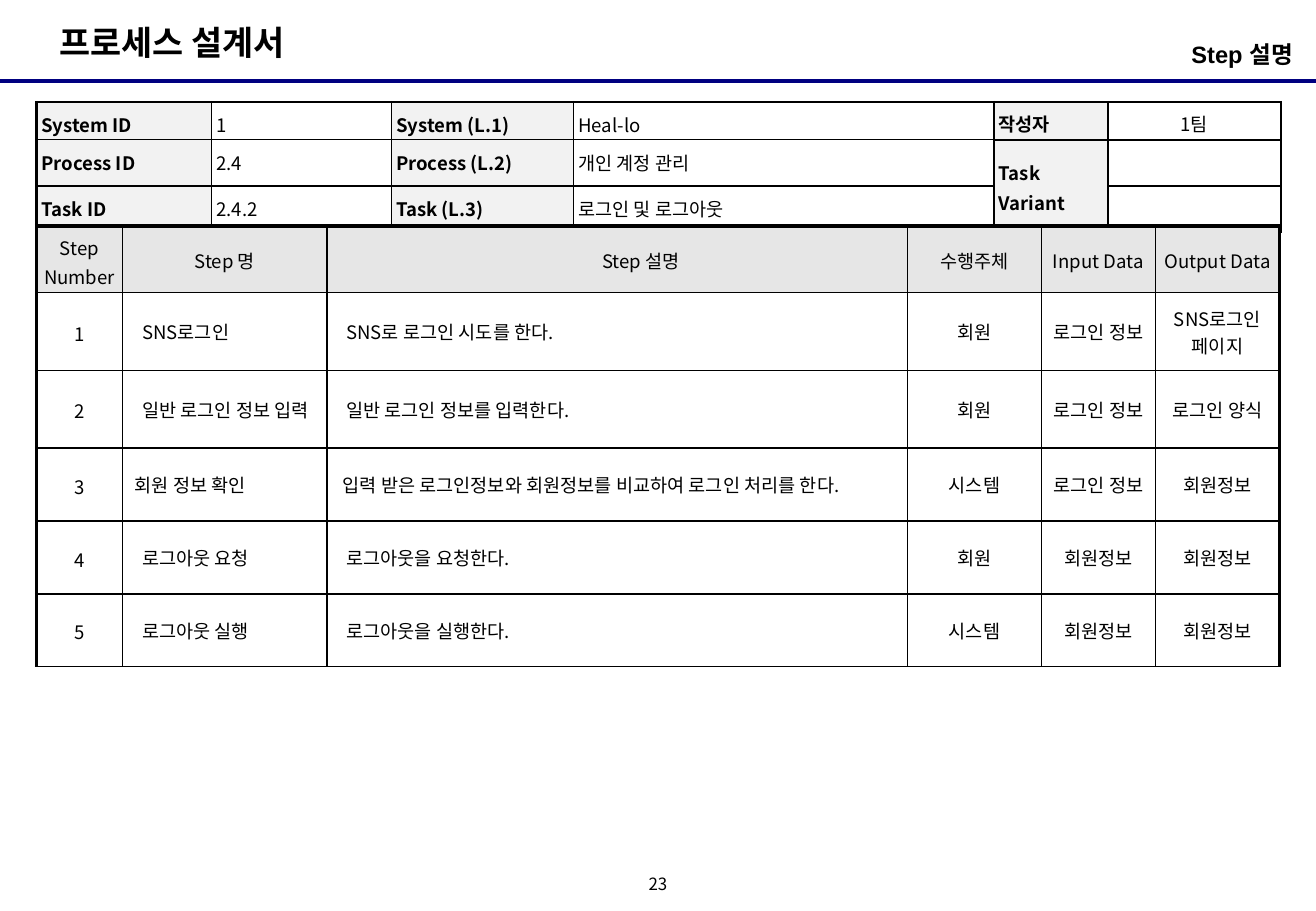
from lxml import etree
from pptx import Presentation
from pptx.dml.color import RGBColor
from pptx.enum import shapes, text
from pptx.oxml import ns
from pptx.util import Inches, Pt

KOREAN_FONT = "Noto Sans CJK KR"
LEFT, CENTER, RIGHT = text.PP_ALIGN.LEFT, text.PP_ALIGN.CENTER, text.PP_ALIGN.RIGHT
TOP, MIDDLE = text.MSO_ANCHOR.TOP, text.MSO_ANCHOR.MIDDLE


def write(holder, content, size=11, bold=False, font=KOREAN_FONT, align=LEFT,
          anchor=MIDDLE, margins=(0, 0, 0, 0), indent=0, spacing=1.0, after=0):
    """Fill a text frame or table cell; each line of content is a paragraph."""
    frame = getattr(holder, "text_frame", holder)
    frame.word_wrap = True
    holder.vertical_anchor = anchor
    (holder.margin_left, holder.margin_top,
     holder.margin_right, holder.margin_bottom) = map(Inches, margins)
    for number, line in enumerate(content.split("\n")):
        para = frame.add_paragraph() if number else frame.paragraphs[0]
        para.alignment = align
        para.line_spacing = spacing
        para.space_after = Pt(after)
        if indent:
            para._p.get_or_add_pPr().set("marL", str(Inches(indent)))
        span = para.add_run()
        span.text = line
        span.font.size = Pt(size)
        span.font.bold = bold
        span.font.name = font
        span.font.color.rgb = RGBColor.from_string("000000")
        east_asian = etree.SubElement(span._r.get_or_add_rPr(), ns.qn("a:ea"))
        east_asian.set("typeface", KOREAN_FONT)


def add_grid(page, top, widths, heights, fill_at, border_at):
    """Add a table; fill_at and border_at give the look of the cell at (row, column)."""
    frame = page.shapes.add_table(len(heights), len(widths), Inches(0.3), Inches(top),
                                  Inches(sum(widths)), Inches(sum(heights)))
    grid = frame.table
    grid.first_row = grid.horz_banding = False
    for column, width in zip(grid.columns, widths):
        column.width = Inches(width)
    for row, height in zip(grid.rows, heights):
        row.height = Inches(height)
    for r in range(len(heights)):
        for c in range(len(widths)):
            cell = grid.cell(r, c)
            props = cell._tc.get_or_add_tcPr()
            for side, points in zip("LRTB", border_at(r, c)):
                edge = etree.SubElement(props, ns.qn(f"a:ln{side}"), w=str(Pt(points)))
                solid = etree.SubElement(edge, ns.qn("a:solidFill"))
                etree.SubElement(solid, ns.qn("a:srgbClr"), val="000000")
            colour = fill_at(r, c)
            if colour:
                cell.fill.solid()
                cell.fill.fore_color.rgb = RGBColor.from_string(colour)
            else:
                cell.fill.background()
    return grid


deck = Presentation()
deck.slide_width, deck.slide_height = Inches(10.83), Inches(7.5)
page = deck.slides.add_slide(deck.slide_layouts[6])

# Heading, rule and page number
rule = page.shapes.add_connector(shapes.MSO_CONNECTOR.STRAIGHT,
                                 0, Inches(0.67), deck.slide_width, Inches(0.67))
rule.line.color.rgb = RGBColor.from_string("000080")
rule.line.width = Pt(2.25)
etree.SubElement(rule._element.spPr, ns.qn("a:effectLst"))

for place, content, look in [
    ((0.39, 0.13, 2.26, 0.44), "프로세스 설계서",
     dict(size=20, bold=True, anchor=TOP, margins=(0.1, 0.05, 0.1, 0.05))),
    ((7.39, 0.28, 3.31, 0.39), "Step 설명",
     dict(size=14, bold=True, font="Arial", align=RIGHT, anchor=TOP,
          margins=(0, 0.05, 0.06, 0.05))),
    ((5.25, 7.17, 0.33, 0.25), "23", dict(size=10, align=CENTER, spacing=0.8)),
]:
    box = page.shapes.add_textbox(*map(Inches, place))
    write(box.text_frame, content, **look)

# Task summary: labels in the even columns, values in the odd ones
summary = [
    ["System ID", "1", "System (L.1)", "Heal-lo", "작성자", "1팀"],
    ["Process ID", "2.4", "Process (L.2)", "개인 계정 관리", "Task Variant", ""],
    ["Task ID", "2.4.2", "Task (L.3)", "로그인 및 로그아웃", "", ""],
]


def summary_border(r, c):
    return (1.5 if c == 0 else 1, 1.5 if c == 5 else 1,
            1.5 if r == 0 or (r == 1 and c > 3) else 1,
            1.5 if r == 2 or (r == 0 and c > 3) or (r == 1 and c == 4) else 1)


summary_grid = add_grid(page, 0.84, [1.44, 1.48, 1.5, 3.46, 0.94, 1.42], [0.31] * 3,
                        lambda r, c: None if c % 2 else "F2F2F2", summary_border)
summary_grid.cell(1, 4).merge(summary_grid.cell(2, 4))
for r, row in enumerate(summary):
    for c, content in enumerate(row):
        if not summary_grid.cell(r, c).is_spanned:
            write(summary_grid.cell(r, c), content, bold=c % 2 == 0, spacing=1.1, after=1,
                  align=CENTER if c == 5 else LEFT, anchor=MIDDLE if c > 3 else TOP,
                  margins=(0.04, 0.04, 0.04, 0.04) if c > 3 else (0.04, 0.05, 0.04, 0.03))

# Steps
steps = [
    ["Step Number", "Step 명", "Step 설명", "수행주체", "Input Data", "Output Data"],
    ["1", "SNS로그인", "SNS로 로그인 시도를 한다.", "회원", "로그인 정보", "SNS로그인\n페이지"],
    ["2", "일반 로그인 정보 입력", "일반 로그인 정보를 입력한다.", "회원", "로그인 정보", "로그인 양식"],
    ["3", "회원 정보 확인", "입력 받은 로그인정보와 회원정보를 비교하여 로그인 처리를 한다.",
     "시스템", "로그인 정보", "회원정보"],
    ["4", "로그아웃 요청", "로그아웃을 요청한다.", "회원", "회원정보", "회원정보"],
    ["5", "로그아웃 실행", "로그아웃을 실행한다.", "시스템", "회원정보", "회원정보"],
]
step_grid = add_grid(page, 1.86, [0.71, 1.68, 4.78, 1.1, 0.94, 1.02],
                     [0.55, 0.64, 0.64, 0.6, 0.6, 0.6],
                     lambda r, c: None if r else "E6E6E6",
                     lambda r, c: (2.25 if c == 0 else 1, 2.25 if c == 5 else 1,
                                   2.25 if r == 0 else 1, 1))
indents = {(0, 2): 0.39, (3, 1): 0.04, (3, 2): 0.07}
for r, row in enumerate(steps):
    for c, content in enumerate(row):
        described = r > 0 and c in (1, 2)
        numbered = r == 0 or c == 0
        write(step_grid.cell(r, c), content, align=LEFT if described else CENTER,
              margins=(0.06, 0.04, 0.06, 0.04),
              indent=indents.get((r, c), 0.1 if described else 0),
              spacing=1.1 if numbered else 1.0, after=1 if numbered else 0)

deck.save("out.pptx")
